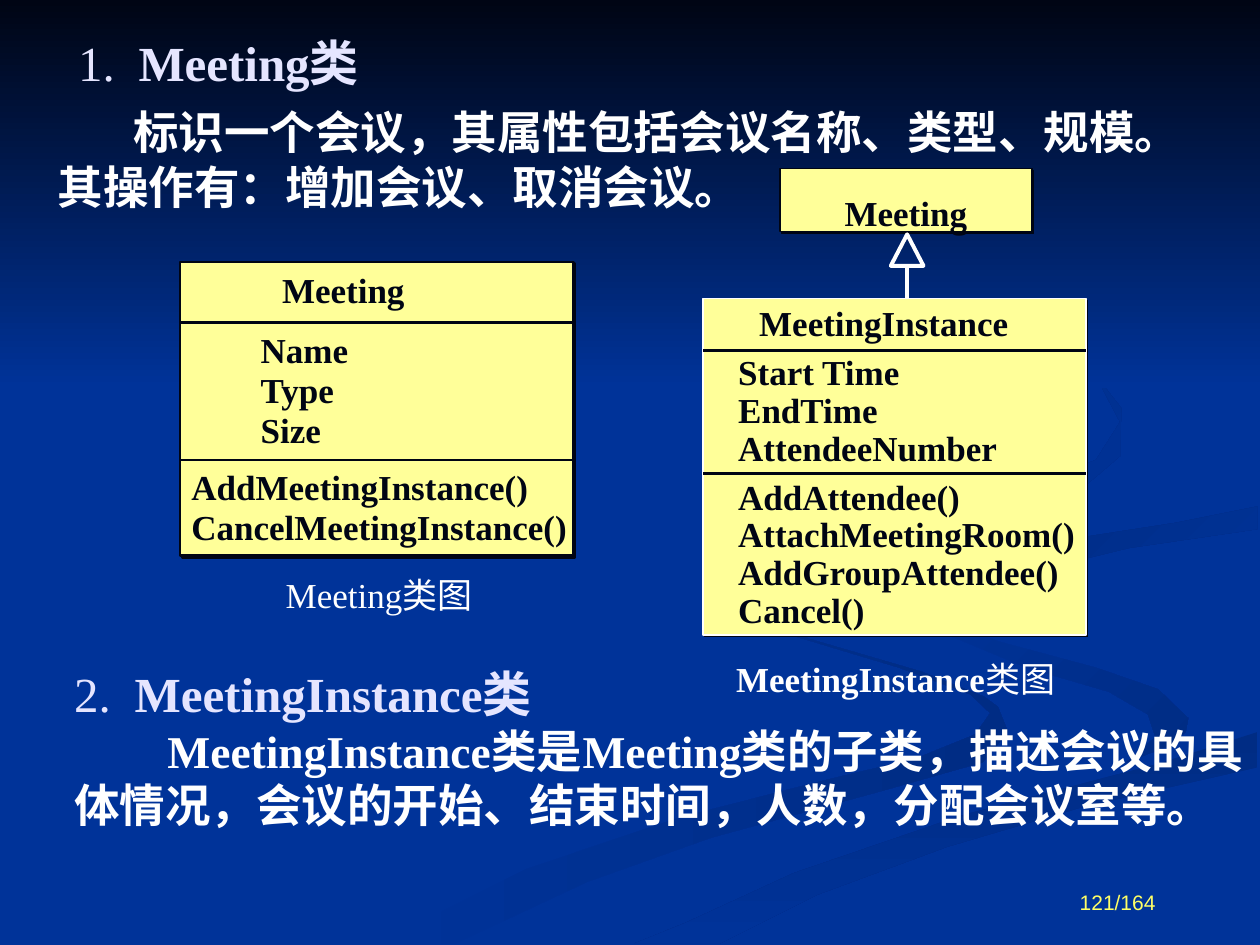
"""Build the slide on the Meeting and MeetingInstance classes."""
from dataclasses import dataclass, field

from lxml import etree
from pptx import Presentation, oxml, util as u
from pptx.dml.color import RGBColor
from pptx.enum import shapes, text
from pptx.oxml.ns import qn

COLORS = {"blue": "003399", "ink": "000514", "yellow": "FFFF99", "white": "FFFFFF",
          "lilac": "E5E5FF", "number": "FFFF66", "shade": "002C84"}
COLS, ROWS = 100, 75
SERIF = "Times New Roman"
CLASS = {"size": 20, "bold": True, "color": "ink"}
HEAD = {"size": 28, "color": "lilac"}
BODY = {"size": 26, "bold": True, "color": "white"}
CAPTION = {"size": 20, "color": "white"}
LEFT, CENTER, RIGHT = text.PP_ALIGN.LEFT, text.PP_ALIGN.CENTER, text.PP_ALIGN.RIGHT
TOP, MIDDLE, BOTTOM = text.MSO_ANCHOR.TOP, text.MSO_ANCHOR.MIDDLE, text.MSO_ANCHOR.BOTTOM

prs = Presentation()
prs.slide_width, prs.slide_height = u.Inches(10), u.Inches(7.5)


@dataclass
class Para:
    runs: list[tuple[str, dict]]
    align: int = LEFT
    indent: float = 0
    tab: float = 0
    spacing: float = 1


@dataclass
class Label:
    box: tuple[float, float, float, float]
    paras: list[Para]
    anchor: int = TOP
    insets: tuple[float, float, float, float] = (1, 0.5, 1, 0.5)


@dataclass
class ClassBox:
    box: tuple[float, float, float, float]
    border: str
    width: float
    rules: list[float] = field(default_factory=list)


@dataclass
class Swirl:
    stops: tuple[str, str]
    angle: int
    points: list[tuple[float, float]]


def col(n: float) -> int:
    """Return the length of n grid columns."""
    return round(prs.slide_width * n / COLS)


def row(n: float) -> int:
    """Return the length of n grid rows."""
    return round(prs.slide_height * n / ROWS)


def place(box: tuple) -> tuple:
    """Convert a grid box to slide lengths."""
    x, y, w, h = box
    return col(x), row(y), col(w), row(h)


def rgb(name: str) -> RGBColor:
    """Look up a colour."""
    return RGBColor.from_string(COLORS[name])


def fill_text(tf, label: Label) -> None:
    """Write a label's paragraphs into a text frame."""
    left, top, right, bottom = label.insets
    values = {"word_wrap": True, "vertical_anchor": label.anchor,
              "margin_left": col(left), "margin_right": col(right),
              "margin_top": row(top), "margin_bottom": row(bottom)}
    for name, value in values.items():
        setattr(tf, name, value)
    for i, para in enumerate(label.paras):
        p = tf.add_paragraph() if i else tf.paragraphs[0]
        p.alignment, p.line_spacing = para.align, para.spacing
        pPr = p._p.get_or_add_pPr()
        if para.indent:
            pPr.set("indent", str(col(para.indent)))
        if para.tab:
            tabs = etree.SubElement(pPr, qn("a:tabLst"))
            etree.SubElement(tabs, qn("a:tab"), pos=str(col(para.tab)), algn="l")
        for words, style in para.runs:
            r = p.add_run()
            r.text = words
            r.font.color.rgb = rgb(style["color"])
            font = {"name": style.get("name", SERIF), "size": u.Pt(style["size"]),
                    "bold": style.get("bold", False)}
            for name, value in font.items():
                setattr(r.font, name, value)


def add_label(s, label: Label) -> None:
    """Add a text box."""
    fill_text(s.shapes.add_textbox(*place(label.box)).text_frame, label)


def add_line(s, x1: float, y1: float, x2: float, y2: float, color: str, width: float) -> None:
    """Add a straight line without a shadow."""
    c = s.shapes.add_connector(shapes.MSO_CONNECTOR.STRAIGHT, col(x1), row(y1), col(x2), row(y2))
    c.line.color.rgb, c.line.width = rgb(color), u.Pt(width)
    etree.SubElement(c._element.spPr, qn("a:effectLst"))


def add_class_box(s, item: ClassBox):
    """Add a shadowed class rectangle with its dividing rules."""
    sp = s.shapes.add_shape(shapes.MSO_SHAPE.RECTANGLE, *place(item.box))
    sp.fill.solid()
    sp.fill.fore_color.rgb = rgb("yellow")
    sp.line.color.rgb, sp.line.width = rgb(item.border), u.Pt(item.width)
    sp.shadow.inherit = False
    effects = sp._element.spPr.find(qn("a:effectLst"))
    effects.append(oxml.parse_xml(
        '<a:outerShdw xmlns:a="http://schemas.openxmlformats.org/drawingml/2006/main" '
        f'dist="{u.Pt(1.4)}" dir="2700000"><a:srgbClr val="{COLORS["ink"]}"/></a:outerShdw>'))
    x, _, w, _ = item.box
    for y in item.rules:
        add_line(s, x, y, x + w, y, "ink", 1.5)
    return sp


def add_swirl(s, swirl: Swirl) -> None:
    """Add a borderless gradient outline."""
    first, *rest = [(col(x), row(y)) for x, y in swirl.points]
    builder = s.shapes.build_freeform(*first)
    builder.add_line_segments(rest, close=True)
    sp = builder.convert_to_shape()
    sp.fill.gradient()
    sp.fill.gradient_angle = -swirl.angle % 360
    for stop, position, name in zip(sp.fill.gradient_stops, (0, 1), swirl.stops):
        stop.position, stop.color.rgb = position, rgb(name)
    sp.line.fill.background()
    sp.shadow.inherit = False


def class_paras(*names: str, align: int = LEFT, spacing: float = 1) -> list[Para]:
    """Make one bold paragraph per name."""
    return [Para([(name, CLASS)], align, spacing=spacing) for name in names]


def heading(number: str, name: str) -> Para:
    """Make a numbered heading."""
    return Para([(number + "\t", HEAD), (name, HEAD | {"bold": True})], tab=4.8)


SWIRLS = [
    Swirl(("blue", "shade"), 0, [
        (78.1, 55.3), (73.1, 53.3), (64.2, 50.7), (59.4, 48.5), (57.5, 45.9), (57, 47.2),
        (58.6, 48.7), (63.1, 50.5), (71.4, 53), (77, 55.1), (78.6, 56.6), (77.4, 58.3),
        (72.7, 60.2), (65.2, 62), (53.9, 64.9), (41.7, 69), (30, 74.9), (36.1, 74.9),
        (46.6, 70), (56.4, 66.5), (69.9, 62.8), (78, 60.5), (80, 58.1), (79.2, 56.1)]),
    Swirl(("blue", "shade"), 45, [
        (94.3, 57), (91.9, 54.7), (87, 53), (79.2, 50.9), (74.5, 49), (72.4, 46.4), (73, 48.3),
        (75.5, 50.5), (81.5, 53), (88, 54.9), (91.1, 56.7), (91.7, 58.5), (89.4, 60.5),
        (92.5, 59.3), (94.1, 58.1)]),
    Swirl(("shade", "blue"), 90, [
        (50.3, 74.9), (57.1, 74.9), (64.9, 71), (75.2, 67.2), (86.1, 64), (99.8, 60.9),
        (99.8, 58.1), (92, 60.6), (76.4, 64.7), (63, 69.3), (54.3, 73.3)]),
    Swirl(("shade", "blue"), 45, [
        (78.1, 46), (79.1, 47.8), (82.6, 49.6), (80.6, 48), (80.9, 46.6), (84.3, 44.8),
        (89.6, 43.5), (99.8, 42), (99.8, 40.2), (93.3, 41.5), (83.5, 43), (79.1, 44.7)]),
    Swirl(("shade", "blue"), 45, [
        (68.3, 43), (78.6, 41.2), (85.5, 39.1), (88.9, 36.2), (89, 32.4), (86.4, 29.1),
        (82.1, 26.1), (76.2, 23.3), (82.6, 26.6), (87, 29.9), (88.9, 33.5), (87, 36.5),
        (81.8, 38.6), (70.4, 40.9), (61.5, 42.9), (58, 45.1), (58.4, 47.9), (62.2, 50),
        (59.3, 47), (61.4, 44.8)]),
    Swirl(("ink", "blue"), 90, [(0, 0), (0, 30.8), (100, 30.8), (100, 0)]),
]

BOXES = [ClassBox((14.3, 20.8, 31.2, 23.3), "ink", 1.5, [25.6, 36.5]),
         ClassBox((55.8, 23.7, 30.4, 26.7), "white", 0.75, [27.8, 37.6])]
PARENT = ClassBox((61.9, 13.4, 20, 5), "ink", 0.75)

LABELS = [
    Label((4.1, 2, 86.1, 5.8), [heading("1.", "Meeting类")], MIDDLE, (2.1, 0.5, 1, 0.5)),
    Label((3.6, 7.8, 94.3, 9.7), [
        Para([("标识一个会议，其属性包括会议名称、类型、规模。其操作有：增加会议、取消会议。", BODY)], indent=6)]),
    Label((4.9, 52.2, 95.1, 14.4), [
        heading("2.", "MeetingInstance类"),
        Para([("MeetingInstance类是Meeting类的子类，描述会议的具体情况，会议的开始、结束时间，"
               "人数，分配会议室等。", BODY)], indent=7.4)]),
    Label((18.8, 20.8, 16.9, 4.4), class_paras("Meeting", align=CENTER)),
    Label((19.7, 25.8, 16.9, 10.5), class_paras("Name", "Type", "Size", spacing=0.95)),
    Label((14.2, 36.7, 32.5, 7.4),
          class_paras("AddMeetingInstance()", "CancelMeetingInstance()", spacing=0.95)),
    Label((55.8, 23.4, 28.7, 4.4), class_paras("MeetingInstance", align=CENTER)),
    Label((57.6, 27.7, 27.9, 10),
          class_paras("Start Time", "EndTime", "AttendeeNumber", spacing=0.9)),
    Label((57.6, 37.6, 30.4, 13),
          class_paras("AddAttendee()", "AttachMeetingRoom()", "AddGroupAttendee()", "Cancel()",
                      spacing=0.9)),
    Label((7.6, 45, 45, 4.4), [Para([("Meeting类图", CAPTION)], CENTER)]),
    Label((48.6, 51.7, 45, 4.4), [
        Para([("MeetingInstance", CAPTION | {"bold": True}), ("类图", CAPTION)], CENTER)]),
    Label((69.4, 67.9, 23.3, 5.2), [
        Para([("121/164", {"name": "Arial", "size": 12, "color": "number"})], RIGHT)], BOTTOM),
]


def main() -> None:
    """Draw the slide and save it."""
    s = prs.slides.add_slide(prs.slide_layouts[6])
    s.background.fill.solid()
    s.background.fill.fore_color.rgb = rgb("blue")
    for swirl in SWIRLS:
        add_swirl(s, swirl)
    for item in BOXES:
        add_class_box(s, item)
    parent = add_class_box(s, PARENT)
    fill_text(parent.text_frame, Label(PARENT.box, class_paras("Meeting", align=CENTER),
                                       MIDDLE, (1, 2.3, 1, 0.3)))
    head = s.shapes.add_shape(shapes.MSO_SHAPE.ISOSCELES_TRIANGLE, *place((70.7, 18.6, 2.6, 2.5)))
    head.fill.background()
    head.line.color.rgb, head.line.width = rgb("white"), u.Pt(2.25)
    head.shadow.inherit = False
    add_line(s, 72, 21.2, 72, 23.7, "white", 2.25)
    for label in LABELS:
        add_label(s, label)
    prs.save("out.pptx")


if __name__ == "__main__":
    main()
